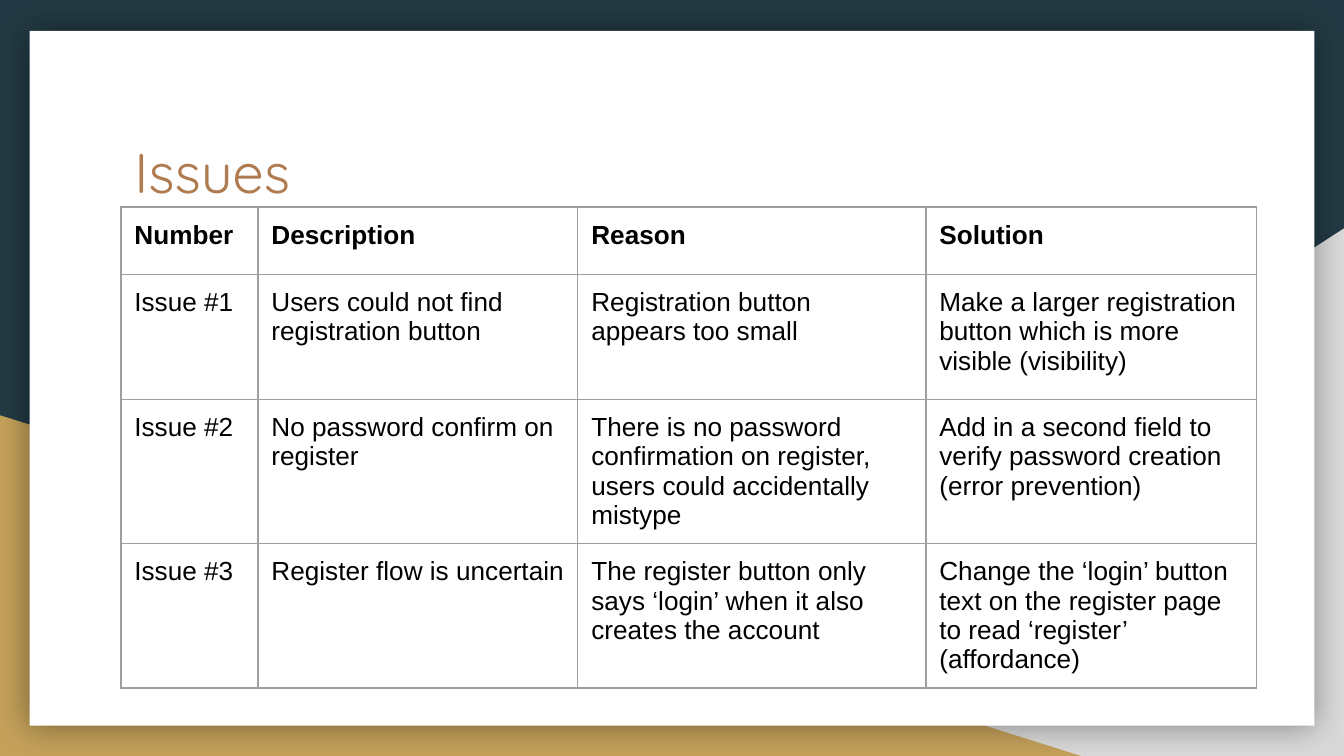
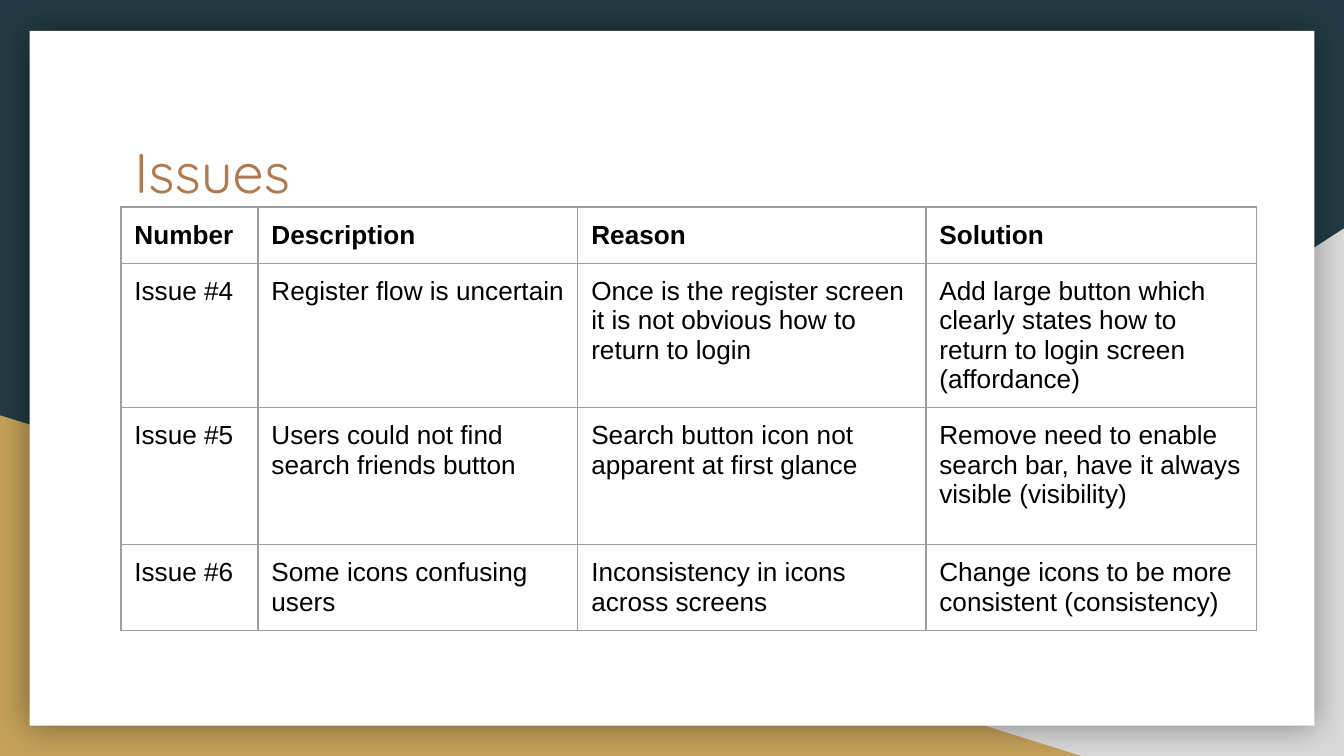
from lxml.etree import SubElement
from pptx import Presentation
from pptx.dml.color import RGBColor
from pptx.enum.shapes import MSO_SHAPE
from pptx.enum.text import MSO_ANCHOR, MSO_AUTO_SIZE, PP_ALIGN
from pptx.oxml import parse_xml
from pptx.oxml.ns import nsdecls, qn
from pptx.util import Inches, Pt

NAVY = RGBColor(0x23, 0x3A, 0x44)
GRAY = RGBColor(0xD9, 0xD9, 0xD9)
GOLD = RGBColor(0xC4, 0xA1, 0x5A)
WHITE = RGBColor(0xFF, 0xFF, 0xFF)
BLACK = RGBColor(0, 0, 0)
COPPER = RGBColor(0xAF, 0x7B, 0x51)
BORDER = RGBColor(0x9E, 0x9E, 0x9E)

INSET = Inches(0.1)
COL_WIDTHS = [1.02, 2.38, 2.59, 2.46]
HEADERS = ["Number", "Description", "Reason", "Solution"]

# Each slide: row heights, then the rows below the header
ISSUE_SLIDES = [
    ([0.5, 0.93, 0.93, 1.02], [
        ["Issue #1", "Users could not find registration button",
         "Registration button appears too small",
         "Make a larger registration button which is more visible (visibility)"],
        ["Issue #2", "No password confirm on register",
         "There is no password confirmation on register, users could accidentally mistype",
         "Add in a second field to verify password creation (error prevention)"],
        ["Issue #3", "Register flow is uncertain",
         "The register button only says ‘login’ when it also creates the account",
         "Change the ‘login’ button text on the register page to read ‘register’ (affordance)"],
    ]),
    ([0.41, 1.02, 1.02, 0.5], [
        ["Issue #4", "Register flow is uncertain",
         "Once is the register screen it is not obvious how to return to login",
         "Add large button which clearly states how to return to login screen (affordance)"],
        ["Issue #5", "Users could not find search friends button",
         "Search button icon not apparent at first glance",
         "Remove need to enable search bar, have it always visible (visibility)"],
        ["Issue #6", "Some icons confusing users",
         "Inconsistency in icons across screens",
         "Change icons to be more consistent (consistency)"],
    ]),
]


def write(tf, text, *, size, font, color, bold=False):
    p = tf.paragraphs[0]
    p.alignment = PP_ALIGN.LEFT
    r = p.add_run()
    r.text = text
    r.font.size = Pt(size)
    r.font.name = font
    r.font.bold = bold
    r.font.color.rgb = color


def set_insets(target):
    target.margin_left = target.margin_right = INSET
    target.margin_top = target.margin_bottom = INSET


def add_block(s, kind, box, color, flip=False):
    sp = s.shapes.add_shape(kind, *map(Inches, box))
    sp.fill.solid()
    sp.fill.fore_color.rgb = color
    sp.line.fill.background()
    sp.shadow.inherit = False
    if flip:
        sp.element.spPr.xfrm.set("flipH", "1")
    return sp


def add_glow(sp):
    """Give the shape a soft shadow on all sides."""
    effects = sp.element.spPr.find(qn("a:effectLst"))
    shadow = SubElement(effects, qn("a:outerShdw"), blurRad=str(Pt(18)),
                        dist="0", dir="0", algn="ctr", rotWithShape="0")
    color = SubElement(shadow, qn("a:srgbClr"), val=str(BLACK))
    SubElement(color, qn("a:alpha"), val="40000")


def add_backdrop(s):
    """Draw the shared backdrop and move it into the slide's layout."""
    layout = s.slide_layout
    layout.background.fill.solid()
    layout.background.fill.fore_color.rgb = NAVY
    triangle = MSO_SHAPE.RIGHT_TRIANGLE
    card = add_block(s, MSO_SHAPE.RECTANGLE, (0.22, 0.23, 9.56, 5.17), WHITE)
    add_glow(card)
    blocks = [
        add_block(s, triangle, (3.92, 1.7, 6.08, 3.93), GRAY, flip=True),
        add_block(s, triangle, (0, 3.09, 8.06, 2.54), GOLD),
        card,
    ]
    for i, sp in enumerate(blocks):
        sp.element.nvSpPr.cNvPr.set("id", str(100 + i))
        layout.shapes.element.insert(2 + i, sp.element)


def add_title(s, text):
    title = s.shapes.title
    title.left, title.top, title.width, title.height = map(
        Inches, (0.9, 0.92, 8.21, 1.04))
    tf = title.text_frame
    tf.word_wrap = True
    tf.auto_size = MSO_AUTO_SIZE.NONE
    tf.vertical_anchor = MSO_ANCHOR.TOP
    set_insets(tf)
    write(tf, text, size=30, font="Quicksand", color=COPPER)


def add_borders(cell):
    tc_pr = cell._tc.get_or_add_tcPr()
    for i, side in enumerate("LRTB"):
        tc_pr.insert(i, parse_xml(
            f'<a:ln{side} {nsdecls("a")} w="{Pt(0.75)}"><a:solidFill>'
            f'<a:srgbClr val="{BORDER}"/></a:solidFill></a:ln{side}>'))


def add_issue_table(s, heights, issues):
    rows = [HEADERS] + issues
    frame = s.shapes.add_table(
        len(rows), len(HEADERS), Inches(0.9), Inches(1.54),
        Inches(sum(COL_WIDTHS)), Inches(sum(heights)))
    table = frame.table
    table.horz_banding = False
    for col, width in zip(table.columns, COL_WIDTHS):
        col.width = Inches(width)
    for i, (row, height, texts) in enumerate(zip(table.rows, heights, rows)):
        row.height = Inches(height)
        for cell, text in zip(row.cells, texts):
            cell.fill.background()
            add_borders(cell)
            set_insets(cell)
            write(cell.text_frame, text, size=14, font="Arial",
                  color=BLACK, bold=i == 0)


def main():
    prs = Presentation()
    prs.slide_width, prs.slide_height = Inches(10), Inches(5.625)
    layout = prs.slide_layouts[5]
    slides = [prs.slides.add_slide(layout) for _ in ISSUE_SLIDES]
    add_backdrop(slides[0])
    for s, (heights, issues) in zip(slides, ISSUE_SLIDES):
        add_title(s, "Issues")
        add_issue_table(s, heights, issues)
    prs.save("out.pptx")


if __name__ == "__main__":
    main()
